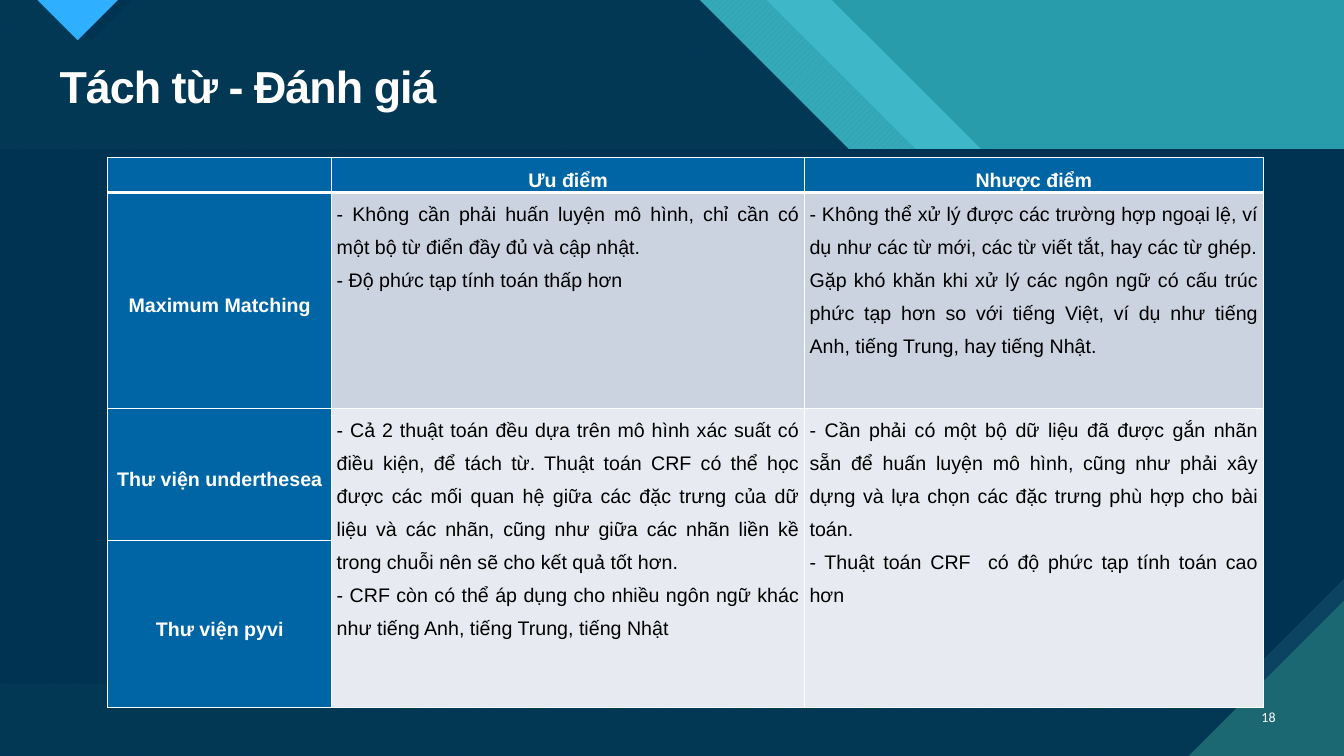
"""Build the slide that compares word segmentation methods in a table."""
from dataclasses import dataclass
from typing import Optional

import pptx
import pptx.dml.color
import pptx.enum.dml
import pptx.enum.text
import pptx.oxml
import pptx.oxml.ns
import pptx.util
from lxml import etree

Inches = pptx.util.Inches
Pt = pptx.util.Pt
ALIGN = pptx.enum.text.PP_ALIGN
ANCHOR = pptx.enum.text.MSO_ANCHOR
PATTERN = pptx.enum.dml.MSO_PATTERN

WIDTH, HEIGHT = 13.33, 7.5
BAND_TOP, BAND_BOTTOM = 1.48, 6.78
WHITE, BLACK, NAVY, HEADER_BLUE = "FFFFFF", "000000", "003352", "0065A4"


@dataclass(frozen=True)
class Panel:
    """A filled polygon of the backdrop, hatched when it has a second colour."""

    points: tuple[tuple[float, float], ...]
    color: str
    hatch_back: Optional[str] = None


@dataclass(frozen=True)
class CellStyle:
    """The look of one kind of table cell."""

    fill: str
    color: str
    bold: bool
    align: ALIGN
    anchor: ANCHOR


def stripe(left: float, right: float) -> tuple[tuple[float, float], ...]:
    """Return a 45 degree stripe that runs from the slide top to the band."""
    return ((left, 0), (right, 0), (right + BAND_TOP, BAND_TOP), (left + BAND_TOP, BAND_TOP))


BACKDROP = (
    Panel(((0, 0), (WIDTH, 0), (WIDTH, HEIGHT), (0, HEIGHT)), "299CAB"),
    Panel(stripe(7.6, 8.25), "3EB8C8"),
    Panel(stripe(6.94, 7.6), "2A9DAD", "36A9B8"),
    Panel(((0, 0), (6.94, 0), (6.94 + BAND_TOP, BAND_TOP), (WIDTH, BAND_TOP),
           (WIDTH, HEIGHT), (0, HEIGHT)), "053B58", "033855"),
    Panel(((0.48, 0), (1.31, 0), (0.9, 0.41)), NAVY),
    Panel(((0.37, 0), (1.17, 0), (0.77, 0.4)), "2FAFFF"),
    Panel(((12.29, BAND_BOTTOM), (WIDTH, 5.74), (WIDTH, BAND_BOTTOM)), "0C4360"),
    Panel(((0, BAND_TOP), (WIDTH, BAND_TOP), (WIDTH, 5.74), (12.29, BAND_BOTTOM),
           (0, BAND_BOTTOM)), NAVY),
    Panel(((11.79, HEIGHT), (WIDTH, HEIGHT), (WIDTH, 5.96)), "1B6872"),
)

LABEL = CellStyle(HEADER_BLUE, WHITE, True, ALIGN.CENTER, ANCHOR.MIDDLE)
MATCHING = CellStyle("CCD3E0", BLACK, False, ALIGN.JUSTIFY, ANCHOR.TOP)
LIBRARIES = CellStyle("E7EAF0", BLACK, False, ALIGN.JUSTIFY, ANCHOR.TOP)

COLUMN_WIDTHS = (2.22, 4.69, 4.55)
ROW_HEIGHTS = (0.29, 2.14, 1.31, 1.66)
BODY_STYLES = (LABEL, MATCHING, LIBRARIES, LIBRARIES)
COMPARISON = (
    ("", "Ưu điểm", "Nhược điểm"),
    ("Maximum Matching",
     "- Không cần phải huấn luyện mô hình, chỉ cần có một bộ từ điển đầy đủ và cập nhật.\n"
     "- Độ phức tạp tính toán thấp hơn",
     "- Không thể xử lý được các trường hợp ngoại lệ, ví dụ như các từ mới, các từ viết tắt, "
     "hay các từ ghép.\n"
     "Gặp khó khăn khi xử lý các ngôn ngữ có cấu trúc phức tạp hơn so với tiếng Việt, "
     "ví dụ như tiếng Anh, tiếng Trung, hay tiếng Nhật."),
    ("Thư viện underthesea",
     "- Cả 2 thuật toán đều dựa trên mô hình xác suất có điều kiện, để tách từ. "
     "Thuật toán CRF có thể học được các mối quan hệ giữa các đặc trưng của dữ liệu và các nhãn, "
     "cũng như giữa các nhãn liền kề trong chuỗi nên sẽ cho kết quả tốt hơn.\n"
     "- CRF còn có thể áp dụng cho nhiều ngôn ngữ khác như tiếng Anh, tiếng Trung, tiếng Nhật",
     "- Cần phải có một bộ dữ liệu đã được gắn nhãn sẵn để huấn luyện mô hình, "
     "cũng như phải xây dựng và lựa chọn các đặc trưng phù hợp cho bài toán.\n"
     "- Thuật toán CRF  có độ phức tạp tính toán cao hơn"),
    ("Thư viện pyvi", "", ""),
)


def rgb(color: str) -> pptx.dml.color.RGBColor:
    """Turn a hex string into a colour."""
    return pptx.dml.color.RGBColor.from_string(color)


def style_font(font, name: str, size: float, color: str, bold: bool) -> None:
    """Set typeface, size, colour and weight."""
    font.name, font.size, font.bold = name, Pt(size), bold
    font.color.rgb = rgb(color)


def draw_panel(slide, panel: Panel) -> None:
    """Draw one backdrop polygon."""
    start, *rest = [(Inches(x), Inches(y)) for x, y in panel.points]
    outline = slide.shapes.build_freeform(*start)
    outline.add_line_segments(rest, close=True)
    area = outline.convert_to_shape()
    area.shadow.inherit = False
    area.line.fill.background()
    if panel.hatch_back:
        area.fill.patterned()
        area.fill.pattern = PATTERN.WIDE_UPWARD_DIAGONAL
        area.fill.fore_color.rgb = rgb(panel.color)
        area.fill.back_color.rgb = rgb(panel.hatch_back)
    else:
        area.fill.solid()
        area.fill.fore_color.rgb = rgb(panel.color)


def add_header_borders(cell) -> None:
    """Give a header cell white borders with a heavy bottom line."""
    properties = cell._tc.get_or_add_tcPr()
    for side, width in (("L", 1), ("R", 1), ("T", 1), ("B", 3)):
        border = etree.SubElement(properties, pptx.oxml.ns.qn(f"a:ln{side}"), w=str(Pt(width)))
        fill = etree.SubElement(border, pptx.oxml.ns.qn("a:solidFill"))
        etree.SubElement(fill, pptx.oxml.ns.qn("a:srgbClr"), val=WHITE)


def fill_cell(cell, text: str, style: CellStyle) -> None:
    """Write and format one table cell."""
    cell.fill.solid()
    cell.fill.fore_color.rgb = rgb(style.fill)
    cell.vertical_anchor = style.anchor
    cell.margin_left = cell.margin_right = Inches(0.05)
    cell.margin_top = cell.margin_bottom = 0
    cell.text = text
    for paragraph in cell.text_frame.paragraphs:
        paragraph.alignment = style.align
        paragraph.line_spacing = 1.5 if text else 1
        style_font(paragraph.font, "Arial", 14, style.color, style.bold)


def add_comparison(slide) -> None:
    """Add the table of strengths and weaknesses."""
    table = slide.shapes.add_table(
        len(ROW_HEIGHTS), len(COLUMN_WIDTHS), Inches(1.07), Inches(1.56),
        Inches(sum(COLUMN_WIDTHS)), Inches(sum(ROW_HEIGHTS))).table
    table.first_row = table.first_col = True
    for column, width in zip(table.columns, COLUMN_WIDTHS):
        column.width = Inches(width)
    for row, height in zip(table.rows, ROW_HEIGHTS):
        row.height = Inches(height)
    for row, texts in enumerate(COMPARISON):
        for column, text in enumerate(texts):
            cell = table.cell(row, column)
            if row == 0:
                add_header_borders(cell)
            fill_cell(cell, text, BODY_STYLES[row] if column else LABEL)
    for column in (1, 2):
        table.cell(2, column).merge(table.cell(3, column))


def format_title(slide) -> None:
    """Place the title in front of the backdrop and format it."""
    title = slide.shapes.title
    slide.shapes.element.append(title.element)
    title.left, title.top = Inches(0.49), Inches(0.59)
    title.width, title.height = Inches(12.26), Inches(0.59)
    title.text = "Tách từ - Đánh giá"
    title.text_frame.vertical_anchor = ANCHOR.MIDDLE
    heading = title.text_frame.paragraphs[0]
    heading.alignment, heading.line_spacing = ALIGN.LEFT, 0.9
    style_font(heading.font, "Arial", 32, WHITE, True)
    heading.runs[0]._r.get_or_add_rPr().set("spc", "-70")


def add_page_number(slide) -> None:
    """Add the page number at the bottom right."""
    frame = slide.shapes.add_textbox(
        Inches(12.31), Inches(6.91), Inches(0.44), Inches(0.4)).text_frame
    frame.word_wrap = True
    frame.vertical_anchor = ANCHOR.MIDDLE
    frame.text = "18"
    number = frame.paragraphs[0]
    number.alignment = ALIGN.RIGHT
    style_font(number.font, "Calibri", 10, WHITE, False)


def main() -> None:
    """Build and save the slide."""
    deck = pptx.Presentation()
    deck.slide_width, deck.slide_height = Inches(WIDTH), Inches(HEIGHT)
    slide = deck.slides.add_slide(deck.slide_layouts[5])
    for panel in BACKDROP:
        draw_panel(slide, panel)
    format_title(slide)
    add_page_number(slide)
    add_comparison(slide)
    deck.save("out.pptx")


if __name__ == "__main__":
    main()
